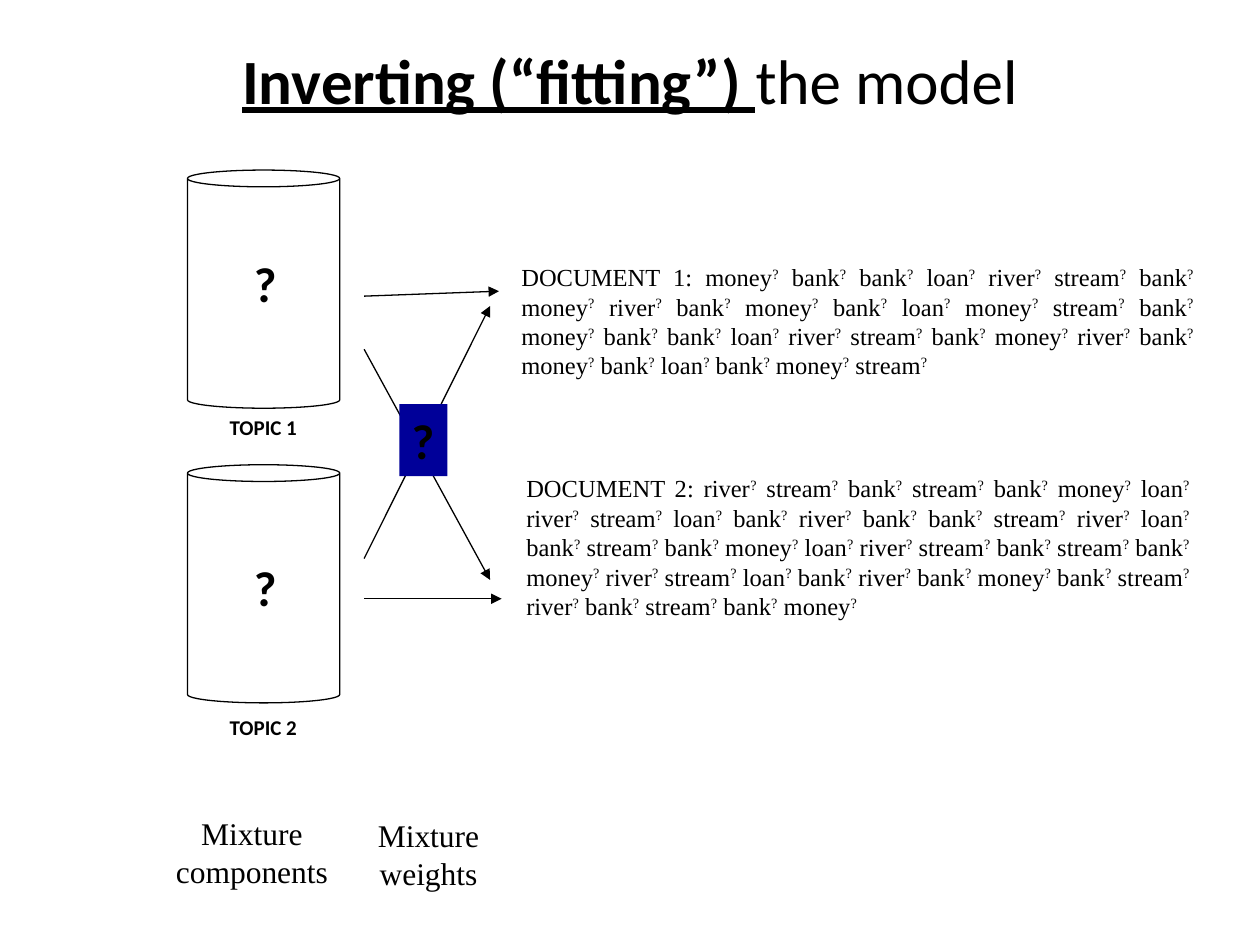
from lxml import etree
from pptx import Presentation
from pptx.dml.color import RGBColor
from pptx.enum.shapes import MSO_CONNECTOR, MSO_SHAPE
from pptx.enum.text import MSO_ANCHOR as Anchor, PP_ALIGN as Align
from pptx.oxml.ns import qn
from pptx.util import Cm, Pt

BLACK = RGBColor(0, 0, 0)
NAVY = RGBColor(0, 0, 0x99)
SANS, SERIF = "Calibri", "Times New Roman"

DOC_1 = """money bank bank loan river stream bank money river bank money bank
loan money stream bank money bank bank loan river stream bank money river
bank money bank loan bank money stream"""
DOC_2 = """river stream bank stream bank money loan river stream loan bank
river bank bank stream river loan bank stream bank money loan river stream
bank stream bank money river stream loan bank river bank money bank stream
river bank stream bank money"""


def set_font(font, size, name, bold=False):
    font.size, font.name, font.bold = Pt(size), name, bold
    font.color.rgb = BLACK


def add_text(slide, box, text, size, name, bold=False, align=Align.LEFT,
             wrap=True):
    """Put one paragraph per line of text in box (left, top, width, height)."""
    shape = slide.shapes.add_textbox(*map(Cm, box))
    frame = shape.text_frame
    frame.word_wrap = wrap
    frame.text = text
    for para in frame.paragraphs:
        para.alignment = align
        for run in para.runs:
            set_font(run.font, size, name, bold)
    return shape


def add_title(slide, box):
    shape = add_text(slide, box, "", 36, SANS, align=Align.CENTER)
    frame = shape.text_frame
    frame.vertical_anchor = Anchor.MIDDLE
    for text, strong in (("Inverting (“fitting”) ", True),
                         ("the model", False)):
        run = frame.paragraphs[0].add_run()
        run.text = text
        set_font(run.font, 36, SANS, strong)
        run.font.underline = strong


def add_doc(slide, box, head, words):
    """Write the words, each followed by a raised question mark."""
    shape = add_text(slide, box, "", 14, SERIF, align=Align.JUSTIFY)
    para = shape.text_frame.paragraphs[0]
    lead = head
    for word in words.split():
        for text, raised in ((f"{lead} {word}", False), ("?", True)):
            run = para.add_run()
            run.text = text
            set_font(run.font, 14, SERIF)
            if raised:
                run.font._element.set("baseline", "30000")
        lead = ""


def add_topic(slide, box, name, mark_y, name_y):
    """Draw a can with a question mark inside and its name below."""
    left, top, width, height = box
    can = slide.shapes.add_shape(MSO_SHAPE.CAN, *map(Cm, box))
    can.adjustments[0] = 0.11
    can.shadow.inherit = False
    can.fill.background()
    can.line.color.rgb = BLACK
    can.line.width = Pt(0.75)
    add_text(slide, (left + 0.6, top + name_y, 2.35, 0.76), name, 12, SANS,
             True)
    add_text(slide, (left + 1.09, top + mark_y, 0.97, 1.45), "?", 28, SANS,
             True, wrap=False)


def add_arrow(slide, start, end):
    arrow = slide.shapes.add_connector(MSO_CONNECTOR.STRAIGHT,
                                       *map(Cm, (*start, *end)))
    arrow.line.color.rgb = BLACK
    arrow.line.width = Pt(0.75)
    tip = etree.SubElement(arrow.line._get_or_add_ln(), qn("a:tailEnd"))
    tip.set("type", "triangle")
    etree.SubElement(arrow._element.spPr, qn("a:effectLst"))


def add_weights(slide, box):
    """Link both topics to both documents, with the unknown weight on top."""
    left, top, width, height = box
    right, low = left + width, top + height
    add_arrow(slide, (left, top + 0.1), (right + 0.18, top))
    add_arrow(slide, (left, low), (right + 0.23, low))
    add_arrow(slide, (left, low - 0.81), (right, top + 0.3))
    add_arrow(slide, (left, top + 1.17), (right, low - 0.38))
    mark = add_text(slide, (left + 0.71, top + 2.28, 0.97, 1.45), "?", 28,
                    SANS, True, wrap=False)
    mark.fill.solid()
    mark.fill.fore_color.rgb = NAVY


def main():
    deck = Presentation()
    deck.slide_width, deck.slide_height = Cm(25.4), Cm(19.05)
    slide = deck.slides.add_slide(deck.slide_layouts[6])
    add_title(slide, (1.27, 0, 22.86, 3.18))
    add_doc(slide, (10.26, 5.16, 14.05, 3.53), "DOCUMENT 1:", DOC_1)
    add_doc(slide, (10.36, 9.42, 13.87, 4.14), "DOCUMENT 2:", DOC_2)
    add_topic(slide, (3.78, 3.43, 3.07, 4.8), "TOPIC 1", 1.55, 4.8)
    add_topic(slide, (3.78, 9.37, 3.07, 4.8), "TOPIC 2", 1.75, 4.9)
    add_weights(slide, (7.34, 5.87, 2.54, 6.2))
    for box, text in (((2.97, 16.28, 4.22, 1.78), "Mixture\ncomponents"),
                      ((7.09, 16.33, 3.1, 1.78), "Mixture\nweights")):
        add_text(slide, box, text, 18, SERIF, align=Align.CENTER, wrap=False)
    deck.save("out.pptx")


if __name__ == "__main__":
    main()
